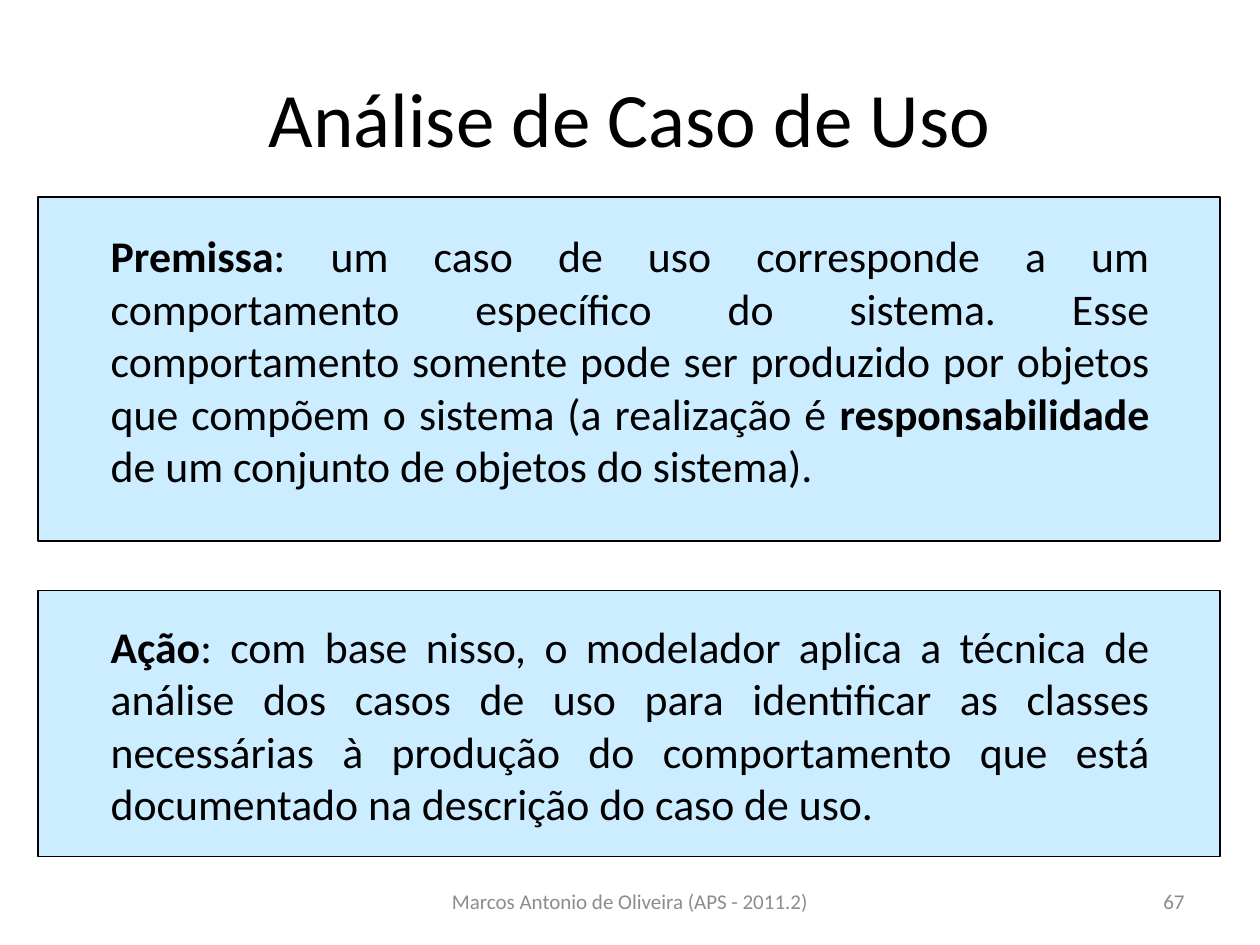
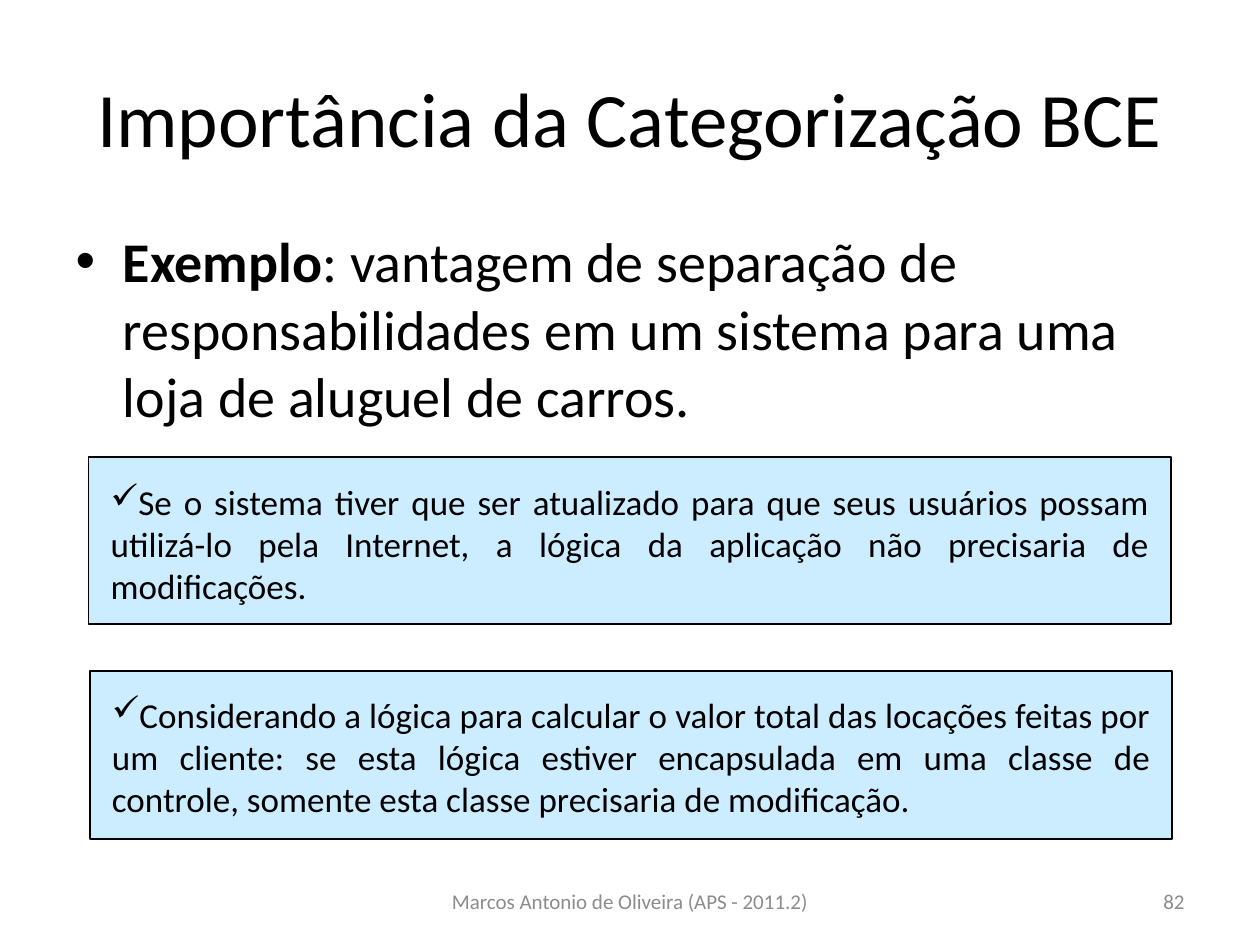
"""Build two slides on use case analysis and BCE categories."""
from lxml.etree import SubElement
from pptx import Presentation
from pptx.dml.color import RGBColor
from pptx.enum.shapes import MSO_SHAPE as Shape
from pptx.enum.text import MSO_ANCHOR as Anchor, MSO_AUTO_SIZE as Auto, PP_ALIGN as Align
from pptx.oxml.ns import qn
from pptx.util import Pt

BLACK = RGBColor(0x00, 0x00, 0x00)
GRAY = RGBColor(0x8C, 0x8C, 0x8C)
SKY = RGBColor(0xCC, 0xEC, 0xFF)
FACE = "Calibri"
FOOTER = "Marcos Antonio de Oliveira (APS - 2011.2)"


def place(shape, box):
    """Move a shape to left, top, width and height in points."""
    shape.left, shape.top, shape.width, shape.height = map(Pt, box)


def write(frame, text, size, align, color=BLACK):
    """Fill a frame with one paragraph, with bold between asterisks."""
    frame.word_wrap = True
    para = frame.paragraphs[0]
    para.alignment = align
    para.font.name = FACE
    para.font.size = Pt(size)
    para.font.color.rgb = color
    for order, part in enumerate(text.split("*")):
        if part:
            run = para.add_run()
            run.text = part
            if order % 2:
                run.font.bold = True
    return para


def add_text(slide, box, text, size, align, color=BLACK):
    """Add a wrapped text box, centred vertically."""
    frame = slide.shapes.add_textbox(*map(Pt, box)).text_frame
    frame.vertical_anchor = Anchor.MIDDLE
    return write(frame, text, size, align, color), frame


def add_check(para):
    """Give a paragraph a check mark as its bullet."""
    props = para._p.get_or_add_pPr()
    mark = SubElement(props, qn("a:buChar"), char="✓")
    props.insert(0, mark)


def add_panel(slide, box, text_box, text, size, check=False):
    """Add a blue panel with justified text over it."""
    panel = slide.shapes.add_shape(Shape.RECTANGLE, *map(Pt, box))
    panel.shadow.inherit = False
    panel.fill.solid()
    panel.fill.fore_color.rgb = SKY
    panel.line.color.rgb = BLACK
    panel.line.width = Pt(1)
    para, frame = add_text(slide, text_box, text, size, Align.JUSTIFY)
    frame.auto_size = Auto.SHAPE_TO_FIT_TEXT
    if check:
        add_check(para)


def add_slide(deck, layout, title, number):
    """Add a slide with its title, footer and number."""
    slide = deck.slides.add_slide(deck.slide_layouts.get_by_name(layout))
    head = slide.shapes.title
    place(head, (36, 21.6, 648, 90))
    head.text_frame.vertical_anchor = Anchor.MIDDLE
    write(head.text_frame, title, 44, Align.CENTER)
    add_text(slide, (246, 500.5, 228, 28.75), FOOTER, 12, Align.CENTER, GRAY)
    add_text(slide, (516, 500.5, 168, 28.75), str(number), 12, Align.RIGHT, GRAY)
    return slide


def main():
    """Build and save the deck."""
    deck = Presentation()
    deck.slide_width, deck.slide_height = Pt(720), Pt(540)

    slide = add_slide(deck, "Title Only", "Análise de Caso de Uso", 67)
    add_panel(slide, (21.6, 112.5, 675.4, 196.6), (56.2, 126.7, 607.7, 158.4),
              "*Premissa*: um caso de uso corresponde a um comportamento "
              "específico do sistema. Esse comportamento somente pode ser "
              "produzido por objetos que compõem o sistema (a realização é "
              "*responsabilidade* de um conjunto de objetos do sistema).", 25)
    add_panel(slide, (21.6, 337.5, 675.4, 151.9), (56.2, 349.9, 607.7, 128.2),
              "*Ação*: com base nisso, o modelador aplica a técnica de análise "
              "dos casos de uso para identificar as classes necessárias à "
              "produção do comportamento que está documentado na descrição do "
              "caso de uso.", 25)

    slide = add_slide(deck, "Title and Content",
                      "Importância da Categorização BCE", 82)
    body = slide.placeholders[1]
    place(body, (36, 126, 648, 356.4))
    write(body.text_frame,
          "*Exemplo*: vantagem de separação de responsabilidades em um "
          "sistema para uma loja de aluguel de carros.", 32, Align.LEFT)
    add_panel(slide, (50.6, 261, 618.5, 95.8), (56.2, 270.7, 607.7, 79.9),
              "Se o sistema tiver que ser atualizado para que seus usuários "
              "possam utilizá-lo pela Internet, a lógica da aplicação não "
              "precisaria de modificações.", 20, check=True)
    add_panel(slide, (51.4, 383.5, 618.5, 95.8), (56.9, 392.4, 607.7, 79.9),
              "Considerando a lógica para calcular o valor total das locações "
              "feitas por um cliente: se esta lógica estiver encapsulada em "
              "uma classe de controle, somente esta classe precisaria de "
              "modificação.", 20, check=True)

    deck.save("out.pptx")


if __name__ == "__main__":
    main()
